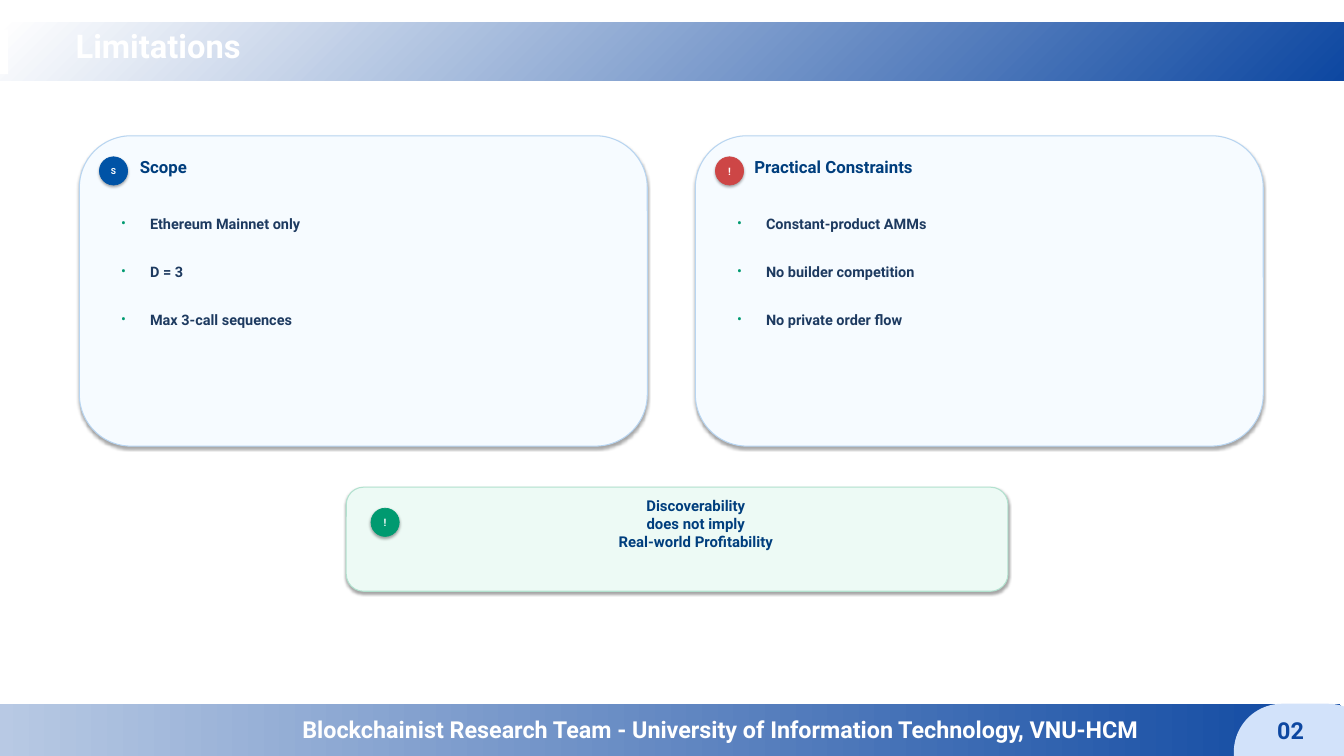
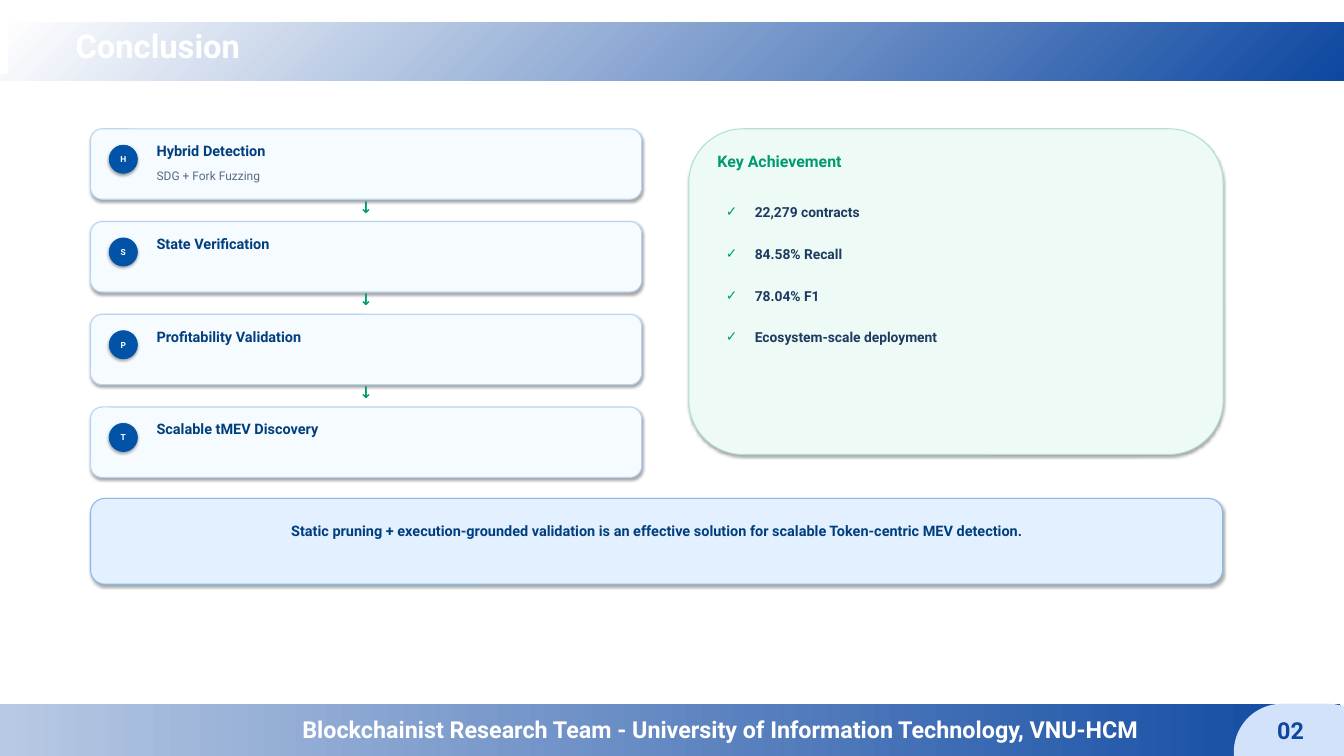
from dataclasses import dataclass

from lxml import etree
from pptx import Presentation
from pptx.dml.color import RGBColor
from pptx.enum.shapes import MSO_SHAPE
from pptx.enum.text import MSO_ANCHOR, MSO_AUTO_SIZE, PP_ALIGN
from pptx.oxml.ns import qn
from pptx.util import Pt

RECT, ROUND, OVAL = MSO_SHAPE.RECTANGLE, MSO_SHAPE.ROUNDED_RECTANGLE, MSO_SHAPE.OVAL
LEFT, CENTER = PP_ALIGN.LEFT, PP_ALIGN.CENTER
TOP, MIDDLE = MSO_ANCHOR.TOP, MSO_ANCHOR.MIDDLE
FIT = MSO_AUTO_SIZE.SHAPE_TO_FIT_TEXT


@dataclass(frozen=True)
class Theme:
    font: str = "Roboto"
    # Colours
    white: str = "FFFFFF"
    brand: str = "0D47A1"
    tab: str = "D2E2FA"
    heading: str = "003E7D"
    body: str = "1D3A60"
    muted: str = "5A6A82"
    blue: str = "0053A6"
    red: str = "CD4646"
    green: str = "009A70"
    # Card styles: fill, outline
    pale: tuple = ("F6FBFF", "B8D5F1")
    mint: tuple = ("EDFAF5", "B2E2CF")
    sky: tuple = ("E2F0FF", "89B9E9")
    # Type sizes
    title: float = 35
    footer: float = 25
    card_heading: float = 18
    panel_heading: float = 17
    arrow: float = 17
    callout: float = 16
    item: float = 15.5
    check: float = 14.8
    detail: float = 12.8
    letter: float = 9
    mark: float = 11


THEME = Theme()

# Content
FOOTER = "Blockchainist Research Team - University of Information Technology, VNU-HCM"
PAGE_NUMBER = "02"

LIMITATIONS = "Limitations"
# Heading, its inset, badge text, badge size, badge colour, items
LIMIT_CARDS = [
    ("Scope", 59, "S", THEME.letter, THEME.blue,
     ["Ethereum Mainnet only", "D = 3", "Max 3-call sequences"]),
    ("Practical Constraints", 57.5, "!", THEME.mark, THEME.red,
     ["Constant-product AMMs", "No builder competition", "No private order flow"]),
]
CAVEAT = ["Discoverability", "does not imply", "Real-world Profitability"]

CONCLUSION = "Conclusion"
STEPS = [
    ("H", "Hybrid Detection", "SDG + Fork Fuzzing"),
    ("S", "State Verification", ""),
    ("P", "Profitability Validation", ""),
    ("T", "Scalable tMEV Discovery", ""),
]
ACHIEVEMENT = "Key Achievement"
RESULTS = ["22,279 contracts", "84.58% Recall", "78.04% F1", "Ecosystem-scale deployment"]
TAKEAWAY = ("Static pruning + execution-grounded validation is an effective solution "
            "for scalable Token-centric MEV detection.")

# Shared geometry
WIDTH, HEIGHT = 1440, 810
BADGE = 30.25
INSETS = (5.75, 2.9)
HANG = 31
LINE_RATIO = 1.17


def rgb(code):
    return RGBColor.from_string(code)


def add_bullet(paragraph, glyph):
    """Give the paragraph a hanging bullet in the accent green."""
    props = paragraph._p.get_or_add_pPr()
    props.set("marL", str(Pt(HANG)))
    props.set("indent", str(-Pt(HANG)))
    colour = etree.SubElement(props, qn("a:buClr"))
    etree.SubElement(colour, qn("a:srgbClr"), val=THEME.green)
    etree.SubElement(props, qn("a:buFont"), typeface=THEME.font)
    etree.SubElement(props, qn("a:buChar"), char=glyph)


def write(frame, text, *, size, color, bold=True, align=LEFT, anchor=TOP, insets=INSETS,
          wrap=False, line=None, pitch=None, bullet=None):
    """Fill a text frame; text is a string or a list of paragraphs."""
    frame.word_wrap = wrap
    frame.vertical_anchor = anchor
    frame.margin_left = frame.margin_right = Pt(insets[0])
    frame.margin_top = frame.margin_bottom = Pt(insets[1])
    for index, words in enumerate([text] if isinstance(text, str) else text):
        paragraph = frame.add_paragraph() if index else frame.paragraphs[0]
        if bullet:
            add_bullet(paragraph, bullet)
        paragraph.alignment = align
        if line:
            paragraph.line_spacing = Pt(line)
        if pitch and index:
            paragraph.space_before = Pt(pitch - line)
        run = paragraph.add_run()
        run.text = words
        run.font.name, run.font.size, run.font.bold = THEME.font, Pt(size), bold
        run.font.color.rgb = rgb(color)


def add_text(slide, box, text, **style):
    frame = slide.shapes.add_textbox(*map(Pt, box)).text_frame
    frame.auto_size = FIT
    write(frame, text, **style)


def add_list(slide, box, items, *, glyph, size, pitch):
    add_text(slide, box, items, size=size, color=THEME.body, bullet=glyph,
             line=round(size * LINE_RATIO, 2), pitch=pitch)


def add_block(slide, kind, box, fill, outline=None, weight=1.1, radius=None):
    """Add a flat shape; a pair of fills makes a gradient, an outline brings a shadow."""
    shape = slide.shapes.add_shape(kind, *map(Pt, box))
    shape.shadow.inherit = False
    if radius is not None:
        shape.adjustments[0] = radius
    if isinstance(fill, tuple):
        shape.fill.gradient()
        for stop, color in zip(shape.fill.gradient_stops, fill):
            stop.color.rgb = rgb(color)
    else:
        shape.fill.solid()
        shape.fill.fore_color.rgb = rgb(fill)
    if outline:
        shape.line.color.rgb = rgb(outline)
        shape.line.width = Pt(weight)
        add_shadow(shape)
    else:
        shape.line.fill.background()
    return shape


def add_shadow(shape):
    effects = shape._element.spPr.find(qn("a:effectLst"))
    shadow = etree.SubElement(effects, qn("a:outerShdw"), blurRad=str(Pt(3.1)),
                              dist=str(Pt(1.8)), dir="5400000", rotWithShape="0")
    color = etree.SubElement(shadow, qn("a:srgbClr"), val="000000")
    etree.SubElement(color, qn("a:alpha"), val="35000")


def add_card(slide, box, style):
    add_block(slide, ROUND, box, *style)


def add_badge(slide, left, top, text, size, color):
    badge = add_block(slide, OVAL, (left, top, BADGE, BADGE), color, color, weight=0.75)
    write(badge.text_frame, text, size=size, color=THEME.white,
          align=CENTER, anchor=MIDDLE, insets=(0, 0))


def add_page(deck, title):
    """Start a slide with the title band, the footer band and the page number."""
    slide = deck.slides.add_slide(deck.slide_layouts[6])
    slide.background.fill.solid()
    slide.background.fill.fore_color.rgb = rgb(THEME.white)

    fade = (THEME.white, THEME.brand)
    header = add_block(slide, RECT, (0, 24.5, WIDTH, 62), fade)
    header.fill.gradient_angle = 315
    footer = add_block(slide, ROUND, (-590, 754, WIDTH + 590, 56), fade, radius=0.16)
    footer.fill.gradient_angle = 0
    add_block(slide, ROUND, (1322, 754, 152.5, 103.5), THEME.tab, radius=0.5)
    add_block(slide, RECT, (-8.75, 31.5, 17.5, 48), THEME.white)

    plain = dict(insets=(0, 0), wrap=True)
    add_text(slide, (324, 761, 998, 38), FOOTER, size=THEME.footer,
             color=THEME.white, line=35, **plain)
    add_text(slide, (81, 21, 1278, 55), title, size=THEME.title,
             color=THEME.white, line=49, **plain)
    add_text(slide, (1359, 762, 47.5, 38), PAGE_NUMBER, size=THEME.footer,
             color=THEME.brand, line=35, align=CENTER, **plain)
    return slide


def build_limitations(deck):
    slide = add_page(deck, LIMITATIONS)

    # Two cards side by side
    top, card_width, card_step = 145.5, 608.5, 660
    for index, (heading, inset, mark, mark_size, color, items) in enumerate(LIMIT_CARDS):
        left = 85 + index * card_step
        add_card(slide, (left, top, card_width, 332.5), THEME.pale)
        add_badge(slide, left + 21.5, top + 22.5, mark, mark_size, color)
        add_text(slide, (left + inset, top + 20, 522, 36), heading,
                 size=THEME.card_heading, color=THEME.heading)
        add_list(slide, (left + 39, top + 82, 520, 125), items,
                 glyph="•", size=THEME.item, pitch=51.84)

    # Caveat below the cards
    add_card(slide, (371, 522, 709, 111.5), THEME.mint)
    add_badge(slide, 397.5, 544.5, "!", THEME.mark, THEME.green)
    add_text(slide, (443, 529, 605, 65), CAVEAT, size=THEME.callout,
             color=THEME.heading, align=CENTER)


def build_conclusion(deck):
    slide = add_page(deck, CONCLUSION)
    left, top = 97, 138

    # Chain of steps joined by arrows
    step_width, step_height, step_pitch = 590.5, 75.5, 99.36
    for index, (letter, label, detail) in enumerate(STEPS):
        y = top + index * step_pitch
        add_card(slide, (left, y, step_width, step_height), THEME.pale)
        add_badge(slide, left + 20, y + 17.5, letter, THEME.letter, THEME.blue)
        add_text(slide, (left + 65, y + 11.5, 490, 21.5), label,
                 size=THEME.item, color=THEME.heading)
        if detail:
            add_text(slide, (left + 65, y + 39.5, 490, 18.5), detail,
                     size=THEME.detail, color=THEME.muted, bold=False)
        if index < len(STEPS) - 1:
            add_text(slide, (left + step_width / 2 - 18, y + 70.5, 36, 24.5), "↓",
                     size=THEME.arrow, color=THEME.green, align=CENTER)

    # Achievement panel
    add_card(slide, (738, top, 572.5, 349), THEME.mint)
    add_text(slide, (763, top + 22, 518.5, 30), ACHIEVEMENT,
             size=THEME.panel_heading, color=THEME.green)
    add_list(slide, (772, top + 78, 503, 157), RESULTS,
             glyph="✓", size=THEME.check, pitch=44.64)

    # Takeaway bar
    add_card(slide, (left, 534, 1213, 92), THEME.sky)
    add_text(slide, (left + 36, 556, 1141, 39.5), TAKEAWAY, size=THEME.item,
             color=THEME.heading, align=CENTER)


def main():
    deck = Presentation()
    deck.slide_width, deck.slide_height = Pt(WIDTH), Pt(HEIGHT)
    build_limitations(deck)
    build_conclusion(deck)
    deck.save("out.pptx")


if __name__ == "__main__":
    main()
